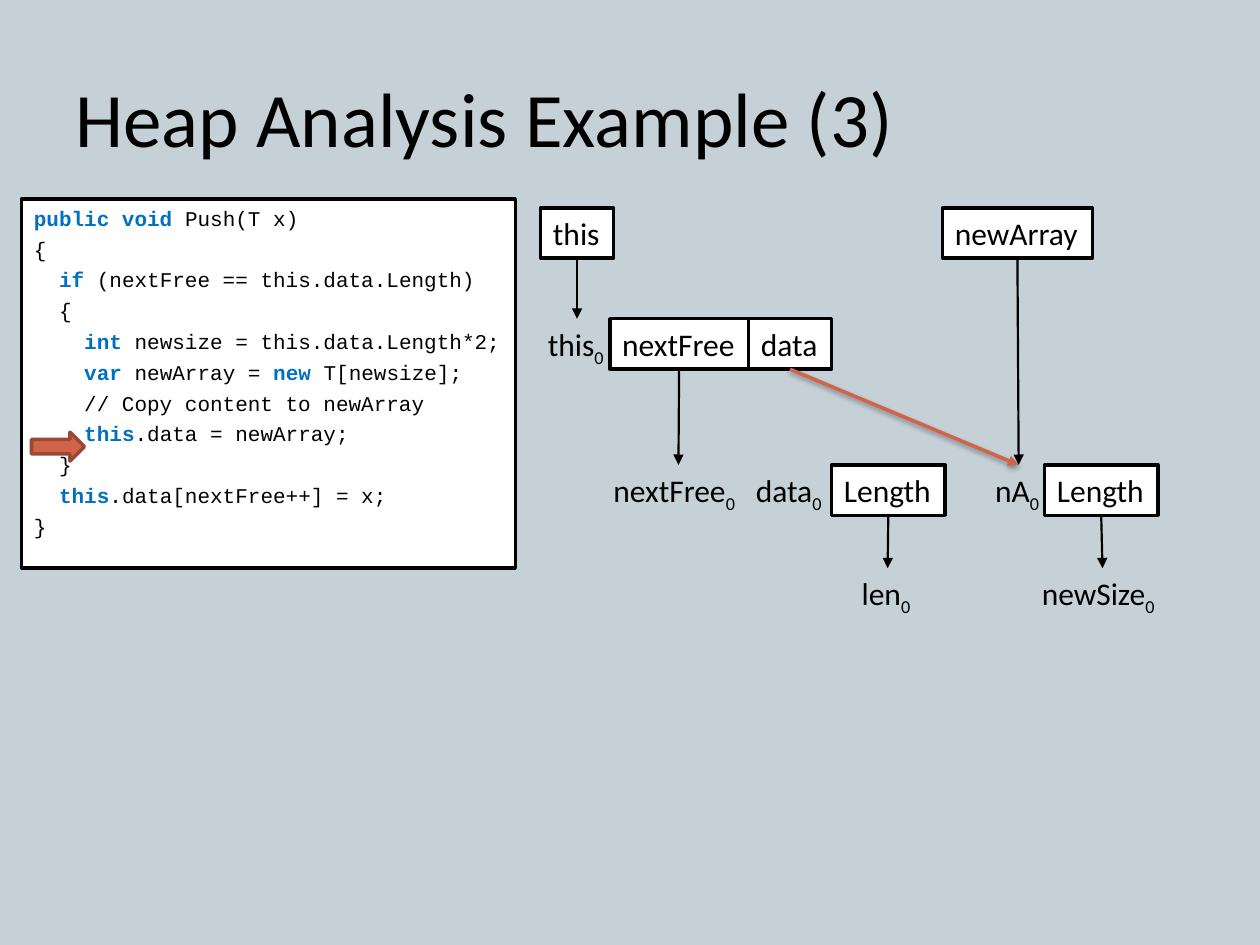
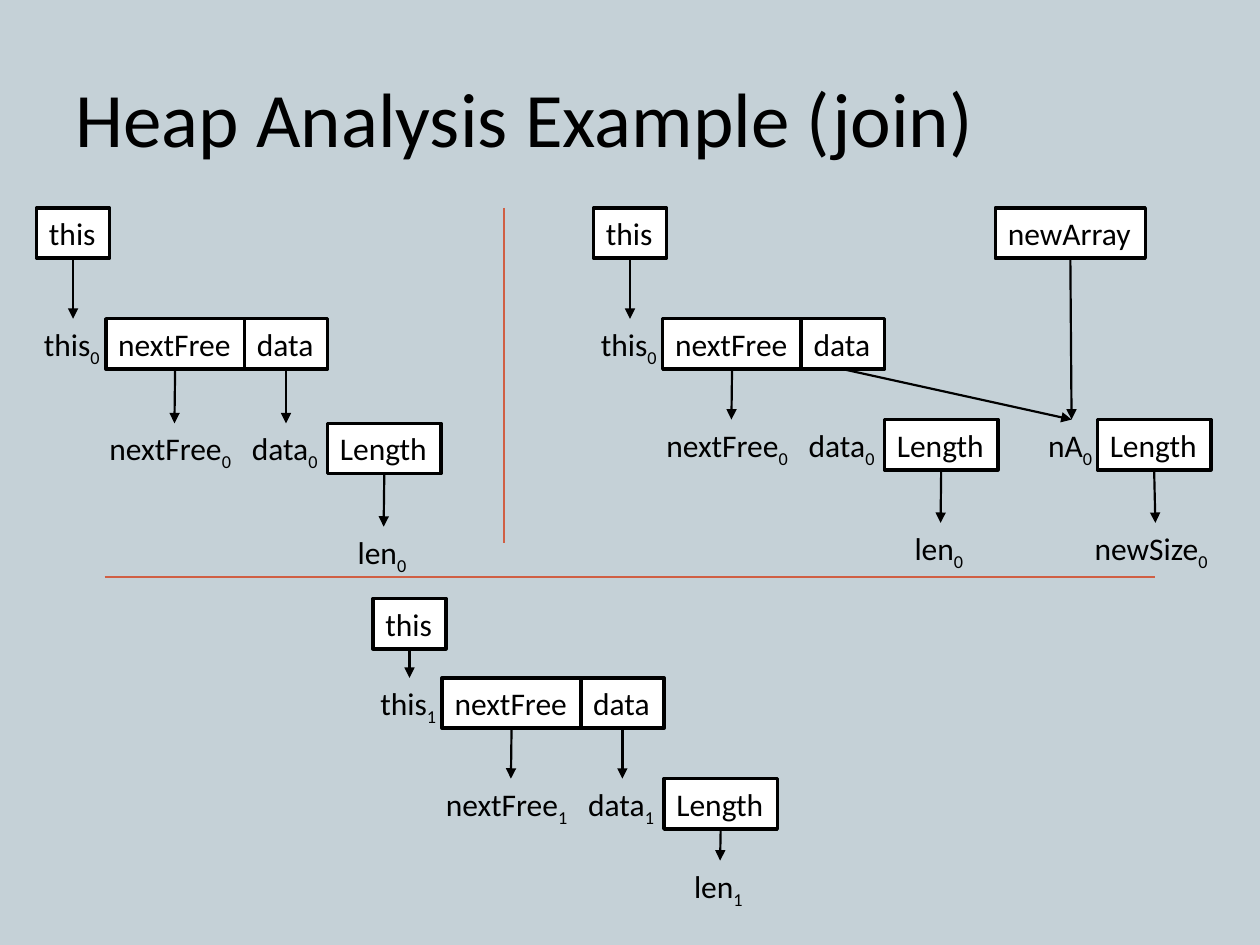
"""Builds two slides that show a heap analysis of Push and its join."""
from lxml.etree import SubElement
from pptx import Presentation
from pptx.dml.color import RGBColor
from pptx.enum.shapes import MSO_CONNECTOR as Link, MSO_SHAPE as Preset
from pptx.enum.text import MSO_ANCHOR as Anchor, MSO_AUTO_SIZE as AutoSize, PP_ALIGN as Align
from pptx.oxml import parse_xml
from pptx.oxml.ns import nsdecls, qn
from pptx.util import Inches, Pt

BLACK = RGBColor(0x00, 0x00, 0x00)
WHITE = RGBColor(0xFF, 0xFF, 0xFF)
BACKGROUND = RGBColor(0xC5, 0xD1, 0xD7)
KEYWORD = RGBColor(0x00, 0x70, 0xC0)
ACCENT = RGBColor(0xD1, 0x63, 0x49)
ACCENT_DARK = RGBColor(0x9B, 0x49, 0x36)
DIVIDER = RGBColor(0xD0, 0x5F, 0x44)

TITLE_FONT = "Calibri"
CODE_FONT = "Courier New"
CELL_HEIGHT = 0.4
TOP, BOTTOM = 0, 2

CODE = """|public void |Push(T x)
{
  |if |(nextFree == this.data.Length)
  {
    |int |newsize = this.data.Length*2;
    |var |newArray = |new |T[newsize];
    // Copy content to newArray
    |this|.data = newArray;
  }
  |this|.data[nextFree++] = x;
}"""

SHADOW = f"""<a:effectLst {nsdecls("a")}>
<a:outerShdw blurRad="{Pt(3.1)}" dist="{Pt(1.6)}" dir="5400000" rotWithShape="0">
<a:srgbClr val="000000"><a:alpha val="38000"/></a:srgbClr></a:outerShdw></a:effectLst>"""


def write(para, text, size=18, font=TITLE_FONT, color=BLACK, bold=False, baseline=0):
    """Append one formatted span to a paragraph."""
    span = para.add_run()
    span.text = text
    span.font.size = Pt(size)
    span.font.name = font
    span.font.color.rgb = color
    span.font.bold = bold
    if baseline:
        span.font._element.set("baseline", str(baseline * 1000))


def add_block(page, preset, left, top, width, height, fill=WHITE, line=BLACK):
    """Add a filled, outlined preset shape without shadow."""
    shape = page.shapes.add_shape(
        preset, Inches(left), Inches(top), Inches(width), Inches(height))
    shape.shadow.inherit = False
    shape.fill.solid()
    shape.fill.fore_color.rgb = fill
    shape.line.color.rgb = line
    shape.line.width = Pt(2)
    return shape


def fill_label(box, text):
    """Write a one-line label; the part after an underscore is a subscript."""
    frame = box.text_frame
    frame.word_wrap = False
    frame.auto_size = AutoSize.SHAPE_TO_FIT_TEXT
    frame.vertical_anchor = Anchor.TOP
    para = frame.paragraphs[0]
    para.alignment = Align.LEFT
    name, _, index = text.partition("_")
    write(para, name)
    if index:
        write(para, index, baseline=-25)
    return box


def add_cell(page, text, left, top, width):
    """Add a white outlined cell for a variable or field."""
    return fill_label(
        add_block(page, Preset.RECTANGLE, left, top, width, CELL_HEIGHT), text)


def add_value(page, text, left, top, width):
    """Add a plain label for a symbolic value."""
    return fill_label(page.shapes.add_textbox(
        Inches(left), Inches(top), Inches(width), Inches(CELL_HEIGHT)), text)


def add_line(page, start, end, color, width):
    """Add a straight line between two points, without shadow."""
    line = page.shapes.add_connector(Link.STRAIGHT, *map(Inches, start + end))
    line.line.color.rgb = color
    line.line.width = Pt(width)
    SubElement(line._element.spPr, qn("a:effectLst"))
    return line


def point_to(page, source, target, highlight=False):
    """Join the bottom of one box to the top of another with an arrow."""
    color, width = (ACCENT, 2) if highlight else (BLACK, 1.25)
    arrow = add_line(page, (0, 0), (0, 0), color, width)
    arrow.begin_connect(source, BOTTOM)
    arrow.end_connect(target, TOP)
    SubElement(arrow.line._get_or_add_ln(), qn("a:tailEnd"), type="triangle")
    if highlight:
        properties = arrow._element.spPr
        properties.replace(properties.find(qn("a:effectLst")), parse_xml(SHADOW))


def add_heap(page, left, tops, index=0, resized=False, highlight=False):
    """Draw a stack object's heap, with the new array when it is resized."""
    variable_top, object_top, value_top, length_top = tops
    this = add_cell(page, "this", left + 0.04, variable_top, 0.58)
    this_value = add_value(page, f"this_{index}", left, object_top, 0.66)
    data = add_cell(page, "data", left + 1.69, object_top, 0.66)
    next_free = add_cell(page, "nextFree", left + 0.59, object_top, 1.1)
    next_value = add_value(page, f"nextFree_{index}", left + 0.52, value_top, 1.23)
    data_value = add_value(page, f"data_{index}", left + 1.65, value_top, 0.74)
    length = add_cell(page, "Length", left + 2.35, value_top, 0.9)
    length_value = add_value(page, f"len_{index}", left + 2.49, length_top, 0.61)
    links = [(this, this_value), (next_free, next_value), (length, length_value)]
    if resized:
        new_array = add_cell(page, "newArray", left + 3.23, variable_top, 1.19)
        array_value = add_value(page, f"nA_{index}", left + 3.55, value_top, 0.57)
        new_length = add_cell(page, "Length", left + 4.04, value_top, 0.9)
        new_size = add_value(page, f"newSize_{index}", left + 3.92, length_top, 1.16)
        links += [(new_array, array_value), (new_length, new_size)]
    for source, target in links:
        point_to(page, source, target)
    point_to(page, data, array_value if resized else data_value, highlight)


def add_code(page):
    """Add the code listing with coloured keywords."""
    frame = add_block(page, Preset.RECTANGLE, 0.17, 1.58, 3.92, 2.93).text_frame
    frame.word_wrap = True
    frame.vertical_anchor = Anchor.TOP
    for number, code_line in enumerate(CODE.split("\n")):
        para = frame.add_paragraph() if number else frame.paragraphs[0]
        para.alignment = Align.LEFT
        para.space_before = Pt(3.2)
        for position, part in enumerate(code_line.split("|")):
            keyword = position % 2 == 1
            if part:
                write(para, part, size=12, font=CODE_FONT, bold=keyword,
                      color=KEYWORD if keyword else BLACK)


def add_page(deck, title):
    """Add a blank page with the shared background and title."""
    page = deck.slides.add_slide(deck.slide_layouts[6])
    page.background.fill.solid()
    page.background.fill.fore_color.rgb = BACKGROUND
    box = page.shapes.add_textbox(Inches(0.5), Inches(0.3), Inches(9), Inches(1.25))
    box.text_frame.word_wrap = True
    box.text_frame.vertical_anchor = Anchor.MIDDLE
    write(box.text_frame.paragraphs[0], title, size=44)
    return page


def main():
    """Build and save the deck."""
    deck = Presentation()
    deck.slide_width, deck.slide_height = Inches(10), Inches(7.5)

    page = add_page(deck, "Heap Analysis Example (3)")
    add_code(page)
    add_heap(page, 4.25, (1.65, 2.53, 3.69, 4.51), resized=True, highlight=True)
    add_block(page, Preset.RIGHT_ARROW, 0.25, 3.43, 0.42, 0.23, ACCENT, ACCENT_DARK)

    page = add_page(deck, "Heap Analysis Example (join)")
    add_heap(page, 4.67, (1.65, 2.53, 3.33, 4.15), resized=True)
    add_heap(page, 0.25, (1.65, 2.53, 3.36, 4.18))
    add_line(page, (4, 1.65), (4, 4.31), DIVIDER, 0.75)
    add_line(page, (0.83, 4.58), (9.17, 4.58), DIVIDER, 0.75)
    add_heap(page, 2.92, (4.75, 5.38, 6.18, 6.83), index=1)

    deck.save("out.pptx")


if __name__ == "__main__":
    main()
